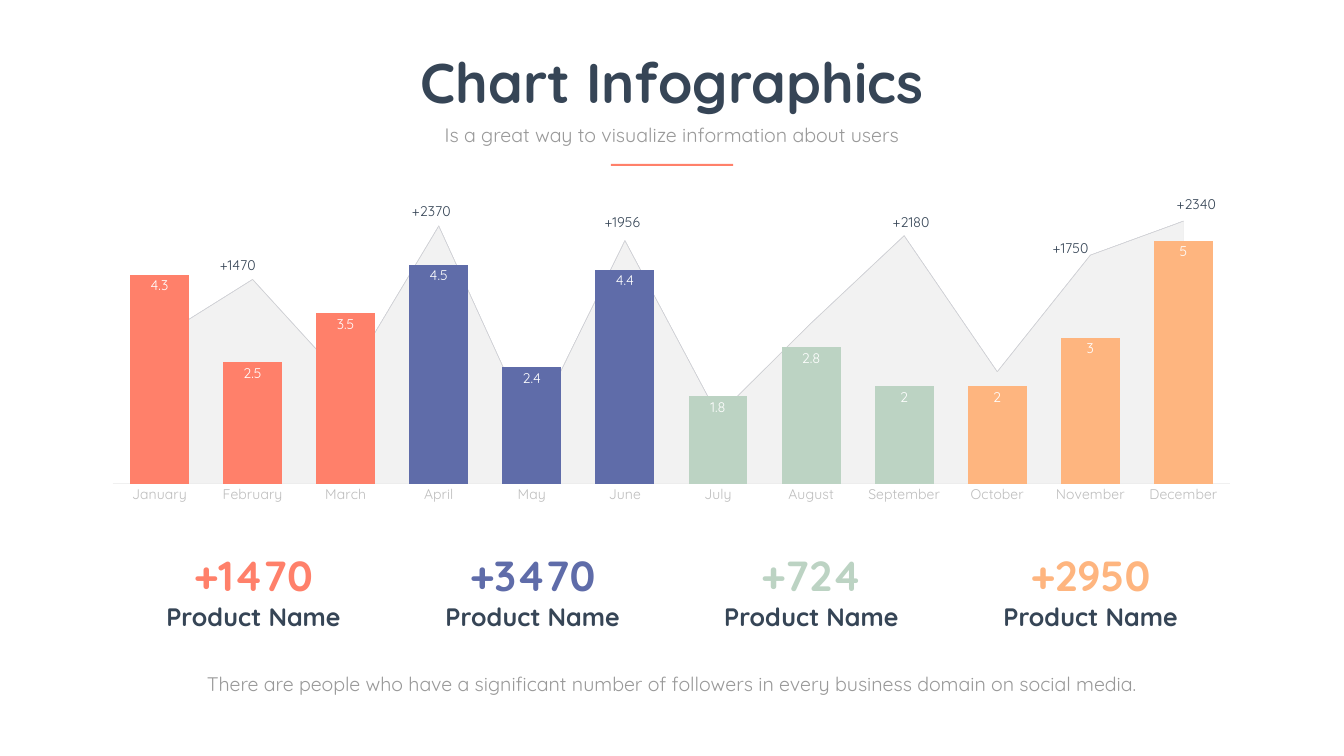
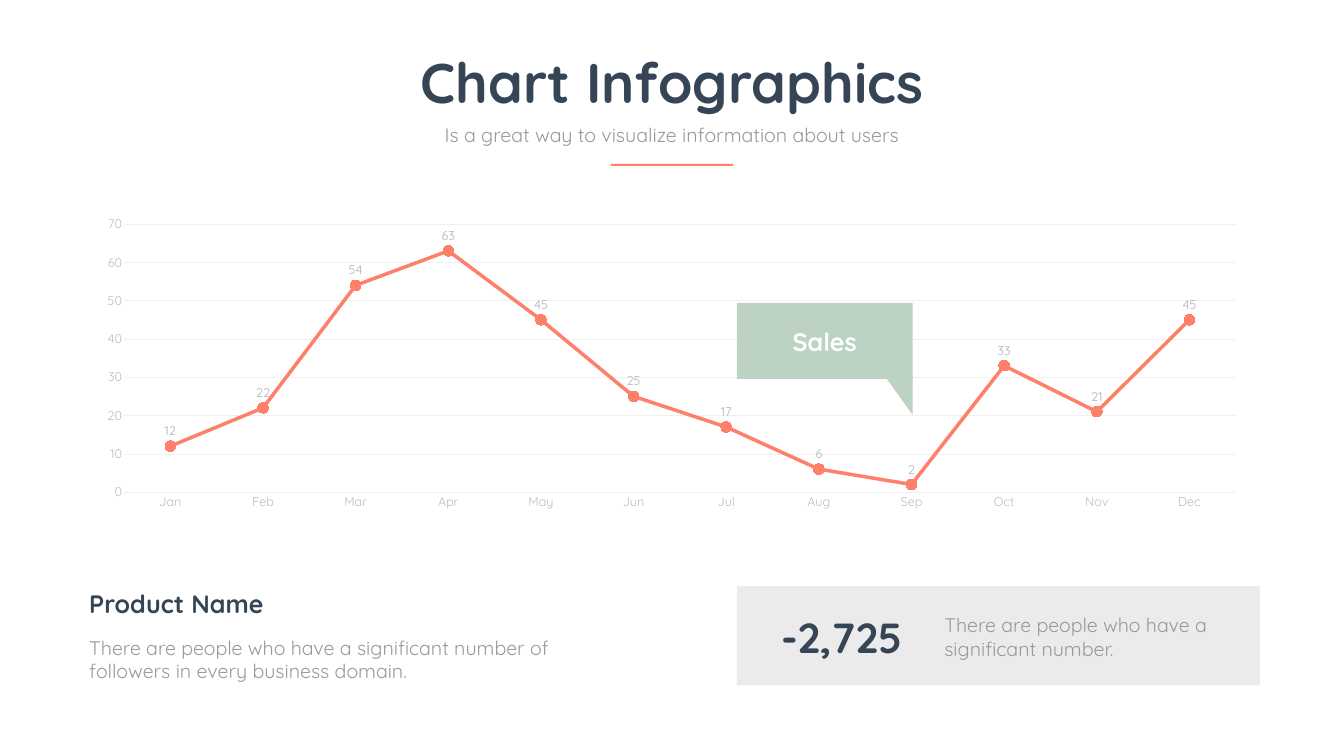
from dataclasses import dataclass

from pptx import Presentation
from pptx.chart.data import CategoryChartData
from pptx.dml.color import RGBColor
from pptx.enum.chart import XL_CHART_TYPE, XL_LABEL_POSITION, XL_MARKER_STYLE, XL_TICK_MARK
from pptx.enum.shapes import MSO_SHAPE
from pptx.enum.text import MSO_ANCHOR, PP_ALIGN
from pptx.oxml import parse_xml
from pptx.oxml.ns import nsdecls, qn
from pptx.util import Inches, Pt

FONT = "Quicksand"
NAVY = RGBColor(0x36, 0x45, 0x56)
GREY = RGBColor(0x99, 0x99, 0x99)
AXIS_GREY = RGBColor(0xBD, 0xBD, 0xBD)
LABEL_GREY = RGBColor(0xB2, 0xB2, 0xB2)
EDGE_GREY = RGBColor(0xD6, 0xD6, 0xD6)
PANEL_GREY = RGBColor(0xEB, 0xEB, 0xEB)
RULE_GREY = RGBColor(0xF0, 0xF0, 0xF0)
AREA_GREY = RGBColor(0xF2, 0xF2, 0xF2)
WHITE = RGBColor(0xFF, 0xFF, 0xFF)
CORAL = RGBColor(0xFF, 0x80, 0x6A)
INDIGO = RGBColor(0x5F, 0x6C, 0xA9)
SAGE = RGBColor(0xBC, 0xD3, 0xC3)
PEACH = RGBColor(0xFE, 0xB5, 0x7F)
QUARTER_COLORS = [CORAL, INDIGO, SAGE, PEACH]

MONTHS = ["January", "February", "March", "April", "May", "June", "July",
          "August", "September", "October", "November", "December"]


@dataclass(frozen=True)
class Box:
    left: float
    top: float
    width: float
    height: float

    def lengths(self) -> tuple:
        return tuple(Inches(n) for n in (self.left, self.top, self.width, self.height))


@dataclass(frozen=True)
class TextStyle:
    size: int
    color: RGBColor
    bold: bool = False


@dataclass(frozen=True)
class PeakLabel:
    text: str
    left: float
    top: float
    align: PP_ALIGN = PP_ALIGN.CENTER


TITLE = TextStyle(80, NAVY, True)
HEADING = TextStyle(36, NAVY, True)
FIGURE = TextStyle(60, NAVY, True)
BODY = TextStyle(28, GREY)
PEAK = TextStyle(20, NAVY)

PEAKS = [
    PeakLabel("+1470", 4.19, 5.03),
    PeakLabel("+2370", 8.03, 3.95),
    PeakLabel("+1956", 11.82, 4.17),
    PeakLabel("+2180", 17.55, 4.17),
    PeakLabel("+1750", 20.6, 4.7, PP_ALIGN.RIGHT),
    PeakLabel("+2340", 23.21, 3.83),
]


def style_font(font, style: TextStyle) -> None:
    font.name = FONT
    font.size = Pt(style.size)
    font.bold = style.bold
    font.color.rgb = style.color


def write_text(shape, text: str, style: TextStyle, align: PP_ALIGN) -> None:
    shape.text_frame.text = text
    paragraph = shape.text_frame.paragraphs[0]
    paragraph.alignment = align
    style_font(paragraph.runs[0].font, style)


def add_text(slide, box: Box, text: str, style: TextStyle,
             align: PP_ALIGN = PP_ALIGN.LEFT, tight: bool = False) -> None:
    """Add a text box; a tight one has small even margins and centres vertically."""
    shape = slide.shapes.add_textbox(*box.lengths())
    frame = shape.text_frame
    frame.word_wrap = True
    if tight:
        frame.vertical_anchor = MSO_ANCHOR.MIDDLE
        frame.margin_left = frame.margin_right = Inches(0.06)
        frame.margin_top = frame.margin_bottom = Inches(0.06)
    write_text(shape, text, style, align)


def add_block(slide, kind: MSO_SHAPE, box: Box, color: RGBColor):
    shape = slide.shapes.add_shape(kind, *box.lengths())
    shape.shadow.inherit = False
    shape.fill.solid()
    shape.fill.fore_color.rgb = color
    shape.line.fill.background()
    return shape


def add_header(slide) -> None:
    add_text(slide, Box(6.88, 0.9, 12.91, 1.45), "Chart Infographics", TITLE, PP_ALIGN.CENTER)
    add_text(slide, Box(8.55, 2.38, 9.56, 0.57),
             "Is a great way to visualize information about users", BODY, PP_ALIGN.CENTER)
    add_block(slide, MSO_SHAPE.RECTANGLE, Box(12.12, 3.25, 2.43, 0.04), CORAL)


def set_line(line, color: RGBColor, width: float = 0.75) -> None:
    line.color.rgb = color
    line.width = Pt(width)


def set_plot_box(chart, box: Box) -> None:
    """Fix the inner plot area, in fractions of the chart frame."""
    plot_area = chart._chartSpace.find(f".//{qn('c:plotArea')}")
    for layout in plot_area.findall(qn("c:layout")):
        plot_area.remove(layout)
    plot_area.insert(0, parse_xml(
        f'<c:layout {nsdecls("c")}><c:manualLayout><c:layoutTarget val="inner"/>'
        '<c:xMode val="edge"/><c:yMode val="edge"/>'
        f'<c:x val="{box.left}"/><c:y val="{box.top}"/>'
        f'<c:w val="{box.width}"/><c:h val="{box.height}"/>'
        '</c:manualLayout></c:layout>'))


def add_month_chart(slide, kind: XL_CHART_TYPE, box: Box, plot_box: Box, months: list,
                    series: list, size: int, maximum: int):
    """Add a chart with months along a pale axis and no title or legend."""
    data = CategoryChartData()
    data.categories = months
    for number, values in enumerate(series, 1):
        data.add_series(f"Series {number}", values)
    chart = slide.shapes.add_chart(kind, *box.lengths(), data).chart
    chart.has_title = False
    chart.has_legend = False
    style_font(chart.font, TextStyle(size, GREY))
    for axis in (chart.category_axis, chart.value_axis):
        axis.major_tick_mark = axis.minor_tick_mark = XL_TICK_MARK.NONE
        style_font(axis.tick_labels.font, TextStyle(size, AXIS_GREY))
    chart.category_axis.has_major_gridlines = False
    set_line(chart.category_axis.format.line, RULE_GREY)
    chart.value_axis.minimum_scale = 0
    chart.value_axis.maximum_scale = maximum
    set_plot_box(chart, plot_box)
    return chart


def show_values(series, position: XL_LABEL_POSITION, style: TextStyle) -> None:
    labels = series.data_labels
    labels.show_value = True
    labels.position = position
    style_font(labels.font, style)


def move_last_series_to_columns(chart) -> None:
    """Draw the last series as columns on the axes of the area chart."""
    area = chart._chartSpace.find(f".//{qn('c:areaChart')}")
    columns = parse_xml(
        f'<c:barChart {nsdecls("c")}><c:barDir val="col"/><c:grouping val="clustered"/>'
        '<c:varyColors val="0"/><c:gapWidth val="58"/></c:barChart>')
    columns.insert(3, area.findall(qn("c:ser"))[-1])
    for axis_id in area.findall(qn("c:axId")):
        columns.append(parse_xml(f'<c:axId {nsdecls("c")} val="{axis_id.get("val")}"/>'))
    area.addnext(columns)
    for cross in chart._chartSpace.iter(qn("c:crossBetween")):
        cross.set("val", "between")


def build_columns_slide(slide) -> None:
    # Monthly columns over a pale area
    chart = add_month_chart(
        slide, XL_CHART_TYPE.AREA_STACKED, Box(1.78, 3.68, 23.09, 6.45),
        Box(0.02, 0.02, 0.96, 0.897), MONTHS,
        [[3, 4.2, 2.1, 5.3, 1.1, 5, 1.4, 3.3, 5.1, 2.3, 4.7, 5.4],
         [None] * len(MONTHS),
         [4.3, 2.5, 3.5, 4.5, 2.4, 4.4, 1.8, 2.8, 2, 2, 3, 5]], 20, 6)
    chart.value_axis.has_major_gridlines = False
    chart.value_axis.visible = False
    move_last_series_to_columns(chart)
    area_plot, column_plot = chart.plots
    area_plot.vary_by_categories = False
    area_colors = [(AREA_GREY, PANEL_GREY), (INDIGO, EDGE_GREY)]
    for series, (fill, edge) in zip(area_plot.series, area_colors):
        series.format.fill.solid()
        series.format.fill.fore_color.rgb = fill
        set_line(series.format.line, edge)
    columns = column_plot.series[0]
    columns.format.fill.solid()
    columns.format.fill.fore_color.rgb = SAGE
    for month in range(len(MONTHS)):
        fill = columns.points[month].format.fill
        fill.solid()
        fill.fore_color.rgb = QUARTER_COLORS[month // 3]
    show_values(columns, XL_LABEL_POSITION.INSIDE_END, TextStyle(20, WHITE))

    # Product totals, one per quarter
    totals = ["+1470", "+3470", "+724", "+2950"]
    for index, (total, color) in enumerate(zip(totals, QUARTER_COLORS)):
        left = round(2.91 + index * 5.537, 2)
        add_text(slide, Box(left, 10.84, 4.24, 1.12), total,
                 TextStyle(60, color, True), PP_ALIGN.CENTER, tight=True)
        add_text(slide, Box(left, 11.88, 4.24, 0.71), "Product Name", HEADING, PP_ALIGN.CENTER)

    add_text(slide, Box(2.9, 13.29, 20.85, 0.57),
             "There are people who have a significant number of followers "
             "in every business domain on social media.", BODY, PP_ALIGN.CENTER)

    # Labels at the peaks of the area
    for peak in PEAKS:
        add_text(slide, Box(peak.left, peak.top, 1.06, 0.45), peak.text, PEAK,
                 peak.align, tight=True)
    add_header(slide)


def build_line_slide(slide) -> None:
    # Monthly line
    chart = add_month_chart(
        slide, XL_CHART_TYPE.LINE_MARKERS, Box(1.67, 4.16, 23.32, 6.08),
        Box(0.034, 0.047, 0.946, 0.875), [month[:3] for month in MONTHS],
        [[12, 22, 54, 63, 45, 25, 17, 6, 2, 33, 21, 45]], 18, 70)
    axis = chart.value_axis
    axis.major_unit = 10
    axis.format.line.fill.background()
    set_line(axis.major_gridlines.format.line, RULE_GREY)
    chart.plots[0].vary_by_categories = False
    series = chart.plots[0].series[0]
    series.smooth = False
    set_line(series.format.line, CORAL, 5)
    marker = series.marker
    marker.style = XL_MARKER_STYLE.CIRCLE
    marker.size = 15
    marker.format.fill.solid()
    marker.format.fill.fore_color.rgb = CORAL
    marker.format.line.fill.background()
    show_values(series, XL_LABEL_POSITION.ABOVE, TextStyle(18, LABEL_GREY))

    # Product description
    add_text(slide, Box(1.67, 12.56, 9.57, 1.04),
             "There are people who have a significant number of followers "
             "in every business domain.", BODY)
    add_text(slide, Box(1.67, 11.63, 6.3, 0.71), "Product Name", HEADING)

    # Result panel
    add_block(slide, MSO_SHAPE.RECTANGLE, Box(14.62, 11.63, 10.38, 1.97), PANEL_GREY)
    add_text(slide, Box(15.4, 12.08, 3.39, 1.11), "-2,725", FIGURE)
    add_text(slide, Box(18.64, 12.12, 5.65, 1.04),
             "There are people who have a significant number.", BODY)

    # Sales callout pointing at September
    callout = add_block(slide, MSO_SHAPE.ROUNDED_RECTANGLE, Box(14.62, 6.01, 3.49, 1.51), SAGE)
    callout.adjustments[0] = 0
    callout.text_frame.vertical_anchor = MSO_ANCHOR.MIDDLE
    write_text(callout, "Sales", TextStyle(36, WHITE, True), PP_ALIGN.CENTER)
    pointer = add_block(slide, MSO_SHAPE.RIGHT_TRIANGLE, Box(17.57, 7.48, 0.54, 0.75), SAGE)
    pointer.rotation = 180
    add_header(slide)


def main() -> None:
    presentation = Presentation()
    presentation.slide_width = Inches(26.67)
    presentation.slide_height = Inches(15)
    blank = presentation.slide_layouts[6]
    for build in (build_columns_slide, build_line_slide):
        build(presentation.slides.add_slide(blank))
    presentation.save("out.pptx")


if __name__ == "__main__":
    main()
